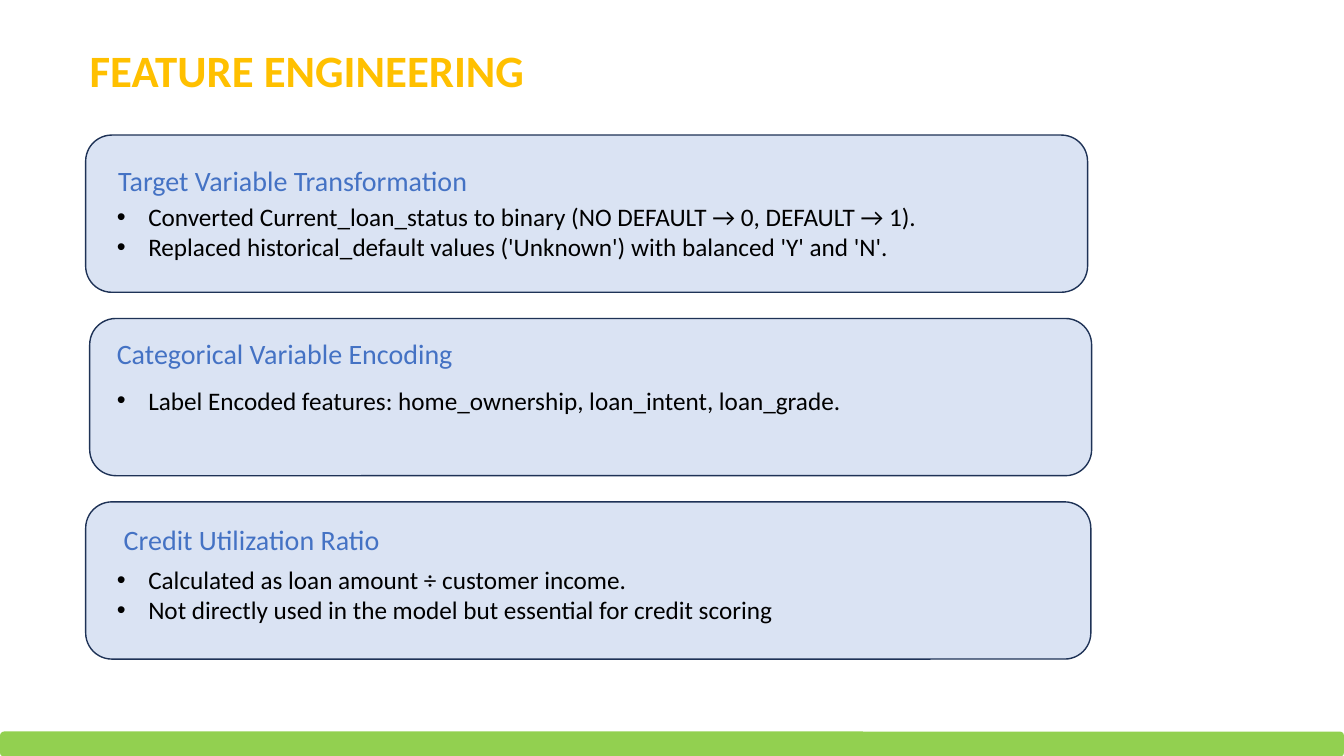
from lxml import etree
from pptx import Presentation
from pptx.dml.color import RGBColor
from pptx.enum.shapes import MSO_SHAPE
from pptx.enum.text import MSO_ANCHOR
from pptx.oxml.ns import qn
from pptx.util import Pt

ROUNDED = MSO_SHAPE.ROUNDED_RECTANGLE
TOP, MIDDLE = MSO_ANCHOR.TOP, MSO_ANCHOR.MIDDLE

GOLD = RGBColor(0xFF, 0xC0, 0x00)
PALE_BLUE = RGBColor(0xDA, 0xE3, 0xF3)
NAVY = RGBColor(0x1E, 0x32, 0x56)
BLUE = RGBColor(0x44, 0x72, 0xC4)
BLACK = RGBColor(0x00, 0x00, 0x00)
GREEN = RGBColor(0x92, 0xD0, 0x50)

FONT = "Calibri"
SLIDE_W, SLIDE_H = 960, 540
CARD_TOP, CARD_PITCH, CARD_H = 96.5, 131, 112.3
BULLET_LEFT, BULLET_INDENT = 76.3, 22.5

# Card left and width, heading left and top, bullets top, wording
CARDS = [
    (61.2, 715.7, 77.3, 113, 140.4, "Target Variable Transformation",
     ["Converted Current_loan_status to binary (NO DEFAULT → 0, DEFAULT → 1).",
      "Replaced historical_default values ('Unknown') with balanced 'Y' and 'N'."]),
    (64.1, 715.7, 76.3, 236.9, 271.4, "Categorical Variable Encoding",
     ["Label Encoded features: home_ownership, loan_intent, loan_grade."]),
    (61.2, 718, 81.3, 369.4, 399.6, "Credit Utilization Ratio",
     ["Calculated as loan amount ÷ customer income.",
      "Not directly used in the model but essential for credit scoring"]),
]


def add_rounded(slide, left, top, width, height, fill, outline=None):
    panel = slide.shapes.add_shape(ROUNDED, Pt(left), Pt(top), Pt(width), Pt(height))
    panel.shadow.inherit = False
    panel.fill.solid()
    panel.fill.fore_color.rgb = fill
    if outline is None:
        panel.line.fill.background()
    else:
        panel.line.color.rgb = outline
        panel.line.width = Pt(1)


def add_text(slide, left, top, width, height, lines, size, color, bold=False, anchor=TOP):
    frame = slide.shapes.add_textbox(Pt(left), Pt(top), Pt(width), Pt(height)).text_frame
    frame.word_wrap = True
    frame.vertical_anchor = anchor
    frame.text = "\n".join(lines)
    for paragraph in frame.paragraphs:
        font = paragraph.runs[0].font
        font.name, font.size, font.bold = FONT, Pt(size), bold
        font.color.rgb = color
    return frame


def add_bullets(slide, top, lines):
    frame = add_text(slide, BULLET_LEFT, top, 646, 7.2 + 22 * len(lines), lines, 18, BLACK)
    for paragraph in frame.paragraphs:
        properties = paragraph._p.get_or_add_pPr()
        properties.set("marL", str(Pt(BULLET_INDENT)))
        properties.set("indent", str(-Pt(BULLET_INDENT)))
        etree.SubElement(properties, qn("a:buFont")).set("typeface", "Arial")
        etree.SubElement(properties, qn("a:buChar")).set("char", "•")


def main():
    prs = Presentation()
    prs.slide_width, prs.slide_height = Pt(SLIDE_W), Pt(SLIDE_H)
    slide = prs.slides.add_slide(prs.slide_layouts[6])

    # Title
    title = add_text(slide, 57, 0, 820, 104.4, ["FEATURE ENGINEERING"], 32, GOLD,
                     bold=True, anchor=MIDDLE)
    title.paragraphs[0].line_spacing = 0.9

    # Feature cards
    for row, card in enumerate(CARDS):
        left, width, heading_left, heading_top, bullets_top, heading, bullets = card
        add_rounded(slide, left, CARD_TOP + row * CARD_PITCH, width, CARD_H, PALE_BLUE, NAVY)
        add_text(slide, heading_left, heading_top, 480, 31.5, [heading], 20, BLUE)
        add_bullets(slide, bullets_top, bullets)

    # Footer bar
    add_rounded(slide, 0, 522.5, SLIDE_W, 18, GREEN)

    prs.save("out.pptx")


if __name__ == "__main__":
    main()
